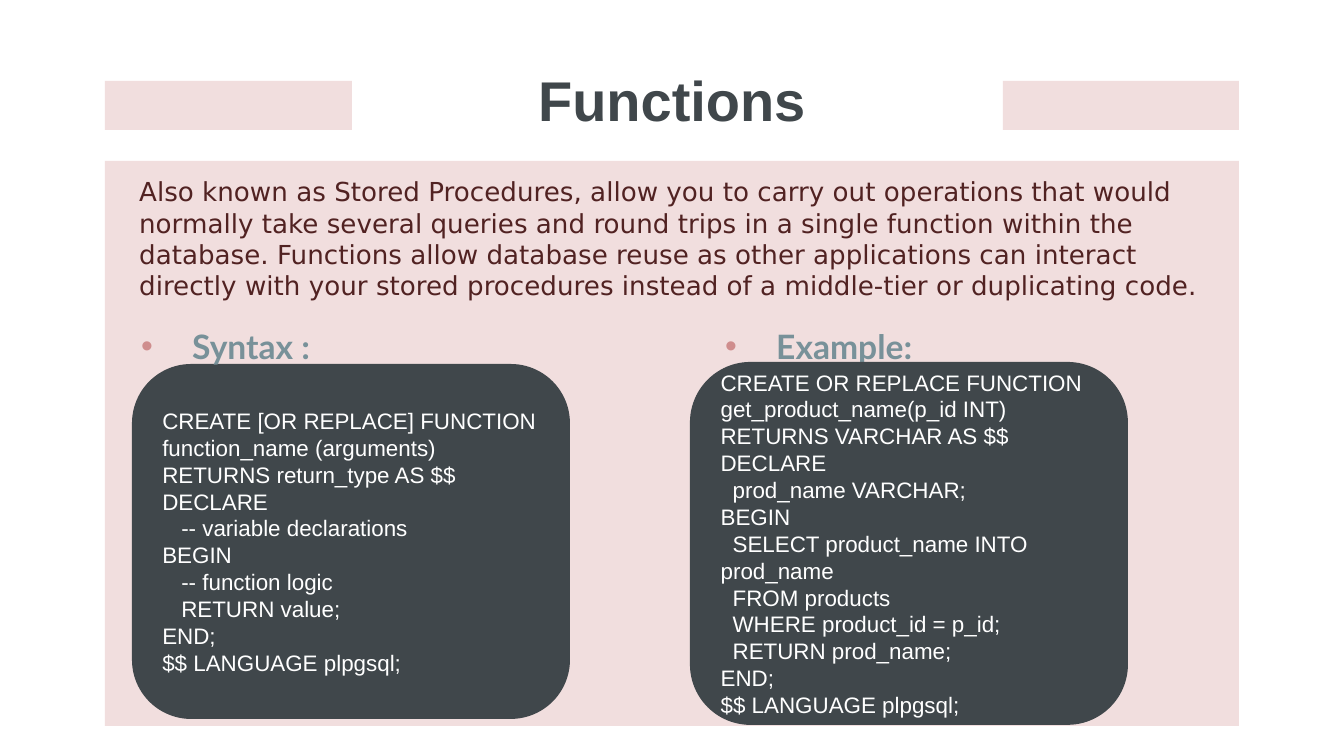
"""Build a slide that explains SQL functions with their syntax and an example."""
from lxml import etree
from pptx import Presentation
from pptx import util as u
from pptx.dml.color import RGBColor
from pptx.enum import shapes, text
from pptx.oxml.ns import qn

SCALE = 914400 / 134.4
COLORS = {
    "band": "F1DEDE",
    "dark": "40474B",
    "intro": "512222",
    "heading": "789199",
    "bullet": "CF8D8D",
    "code": "FFFFFF",
}
TITLE = {"size": u.Pt(30), "name": "Arial", "bold": True}
INTRO = {"size": u.Pt(14), "name": "DejaVu Sans"}
HEADING = {"size": u.Pt(18), "name": "Lato", "bold": True}
CODE = {"size": u.Pt(12), "name": "Arial"}
INTRO_TEXT = (
    "Also known as Stored Procedures, allow you to carry out operations that would "
    "normally take several queries and round trips in a single function within the "
    "database. Functions allow database reuse as other applications can interact "
    "directly with your stored procedures instead of a middle-tier or duplicating code."
)
SYNTAX = [
    (0, "CREATE [OR REPLACE] FUNCTION function_name (arguments)"),
    (0, "RETURNS return_type AS $$"),
    (0, "DECLARE"),
    (1, "-- variable declarations"),
    (0, "BEGIN"),
    (1, "-- function logic"),
    (1, "RETURN value;"),
    (0, "END;"),
    (0, "$$ LANGUAGE plpgsql;"),
]
EXAMPLE = [
    (0, "CREATE OR REPLACE FUNCTION get_product_name(p_id INT)"),
    (0, "RETURNS VARCHAR AS $$"),
    (0, "DECLARE"),
    (1, "prod_name VARCHAR;"),
    (0, "BEGIN"),
    (1, "SELECT product_name INTO prod_name"),
    (1, "FROM products"),
    (1, "WHERE product_id = p_id;"),
    (1, "RETURN prod_name;"),
    (0, "END;"),
    (0, "$$ LANGUAGE plpgsql;"),
]


def px(length):
    """Turn pixels into EMU."""
    return u.Emu(round(length * SCALE))


def apply(target, values):
    """Set each named attribute of the target."""
    for name, value in values.items():
        setattr(target, name, value)


def place(shape, box):
    """Move and size a shape to a pixel box."""
    apply(shape, dict(zip(("left", "top", "width", "height"), map(px, box))))


def format_frame(frame, anchor, inset=None):
    """Set wrapping, anchor and optional equal insets of a text frame."""
    apply(frame, {"word_wrap": True, "vertical_anchor": anchor})
    if inset is not None:
        sides = ("left", "top", "right", "bottom")
        apply(frame, {f"margin_{side}": px(inset) for side in sides})


def write(paragraph, words, style, color, alignment=text.PP_ALIGN.LEFT):
    """Write one formatted run into a paragraph."""
    paragraph.alignment = alignment
    run = paragraph.add_run()
    run.text = words
    apply(run.font, style)
    run.font.color.rgb = RGBColor.from_string(COLORS[color])


def add_title(slide, words, box):
    """Fill and place the title placeholder."""
    title = slide.shapes.title
    place(title, box)
    frame = title.text_frame
    format_frame(frame, text.MSO_ANCHOR.BOTTOM, 13)
    frame.auto_size = text.MSO_AUTO_SIZE.NONE
    write(frame.paragraphs[0], words, TITLE, "dark", text.PP_ALIGN.CENTER)


def add_block(slide, kind, box, color):
    """Add a plain filled shape."""
    shape = slide.shapes.add_shape(kind, *map(px, box))
    shape.shadow.inherit = False
    shape.fill.solid()
    shape.fill.fore_color.rgb = RGBColor.from_string(COLORS[color])
    shape.line.fill.background()
    return shape


def add_text(slide, words, box, style, color):
    """Add a wrapped text box and return its paragraph."""
    frame = slide.shapes.add_textbox(*map(px, box)).text_frame
    format_frame(frame, text.MSO_ANCHOR.TOP)
    write(frame.paragraphs[0], words, style, color)
    return frame.paragraphs[0]


def add_heading(slide, words, box):
    """Add a bulleted heading with a hanging indent."""
    paragraph = add_text(slide, words, box, HEADING, "heading")
    properties = paragraph._p.get_or_add_pPr()
    properties.set("marL", str(px(51)))
    properties.set("indent", str(-px(51)))
    bullet_color = etree.SubElement(properties, qn("a:buClr"))
    etree.SubElement(bullet_color, qn("a:srgbClr"), val=COLORS["bullet"])
    etree.SubElement(properties, qn("a:buFont"), typeface="Arial")
    etree.SubElement(properties, qn("a:buChar"), char="•")


def add_code(slide, lines, box, step):
    """Add a rounded panel of code with first-line indents."""
    panel = add_block(slide, shapes.MSO_SHAPE.ROUNDED_RECTANGLE, box, "dark")
    frame = panel.text_frame
    format_frame(frame, text.MSO_ANCHOR.MIDDLE, 13)
    for number, (level, words) in enumerate(lines):
        paragraph = frame.add_paragraph() if number else frame.paragraphs[0]
        write(paragraph, words, CODE, "code")
        paragraph._p.get_or_add_pPr().set("indent", str(px(level * step)))


def main():
    """Build and save the slide."""
    presentation = Presentation()
    apply(presentation, {"slide_width": px(1344), "slide_height": px(756)})
    slide = presentation.slides.add_slide(presentation.slide_layouts.get_by_name("Title Only"))
    add_title(slide, "Functions", (105, 67, 1134, 79))
    for box in ((105, 81, 247, 49), (1003, 81, 236, 49), (105, 161, 1134, 565)):
        add_block(slide, shapes.MSO_SHAPE.RECTANGLE, box, "band")
    add_text(slide, INTRO_TEXT, (126, 169, 1126, 140), INTRO, "intro")
    add_code(slide, SYNTAX, (132, 364, 438, 355), 19)
    add_heading(slide, "Syntax :", (128, 319, 672, 54))
    add_heading(slide, "Example:", (712, 319, 458, 54))
    add_code(slide, EXAMPLE, (690, 362, 438, 363), 12)
    presentation.save("out.pptx")


if __name__ == "__main__":
    main()
